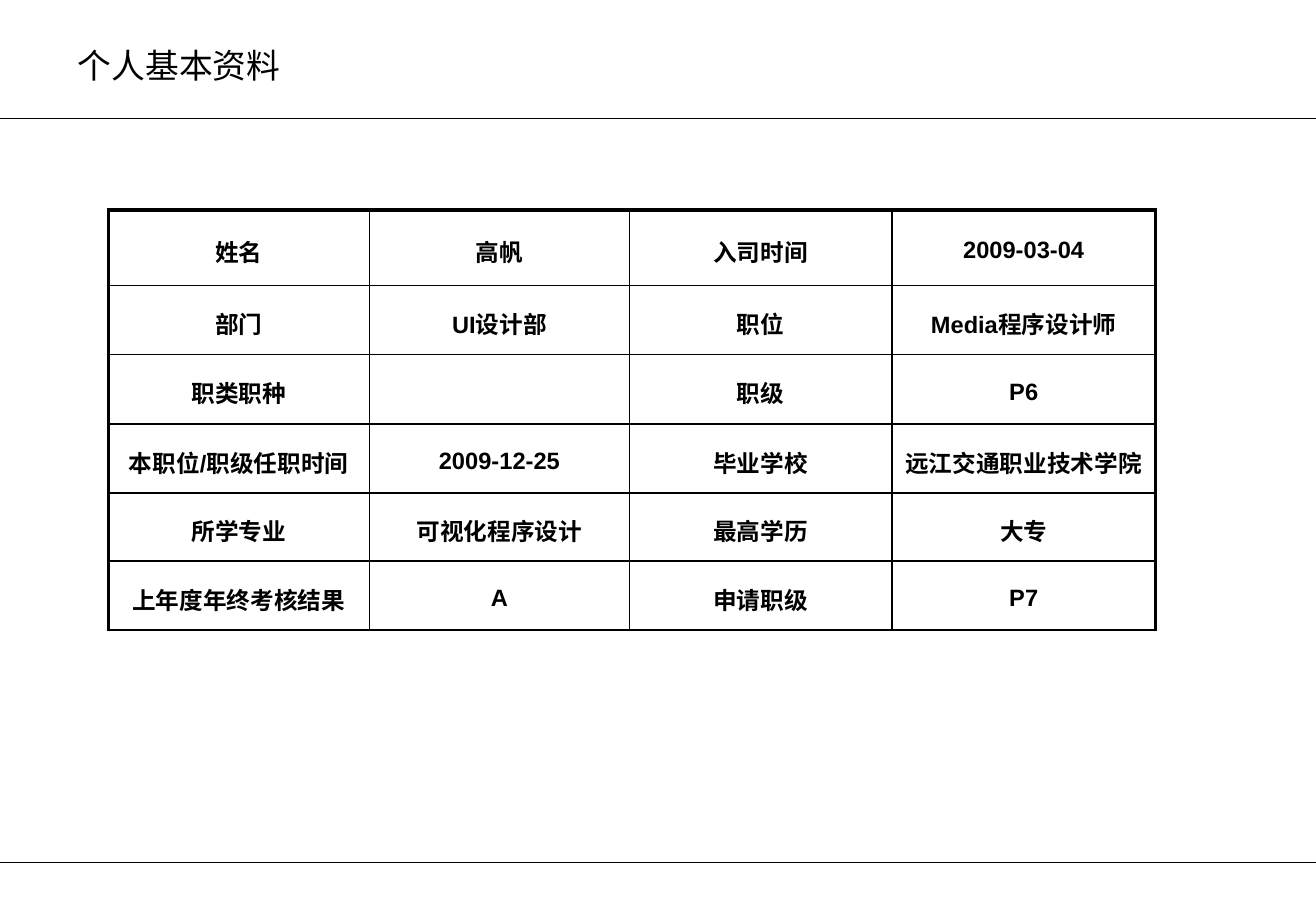
from dataclasses import dataclass

from lxml import etree
from pptx import Presentation
from pptx import util as u
from pptx.dml.color import RGBColor
from pptx.enum import shapes, text
from pptx.oxml.ns import qn

PX = 9144  # 100 px to the inch


@dataclass(frozen=True)
class Theme:
    ink: str = "000000"
    latin: str = "Arial"
    asian: str = "Noto Sans CJK SC"
    head: int = 20
    body: int = 14
    hair: float = 0.25
    thin: float = 1
    thick: float = 2.25


THEME = Theme()
WIDE, HIGH = 1083, 750
RULES = [97, 710]
COLS = [215, 214, 216, 217]
ROWS = [62, 57, 57, 57, 56, 57]
FACTS = [
    ["姓名", "高帆", "入司时间", "2009-03-04"],
    ["部门", "UI设计部", "职位", "Media程序设计师"],
    ["职类职种", "", "职级", "P6"],
    ["本职位/职级任职时间", "2009-12-25", "毕业学校", "远江交通职业技术学院"],
    ["所学专业", "可视化程序设计", "最高学历", "大专"],
    ["上年度年终考核结果", "A", "申请职级", "P7"],
]


def px(n):
    return u.Emu(n * PX)


def add_run(para, words, size, face, bold=False):
    run = para.add_run()
    run.text = words
    font = run.font
    font.size, font.name, font.bold = u.Pt(size), face, bold
    font.color.rgb = RGBColor.from_string(THEME.ink)
    # East Asian glyphs need their own face
    asian = etree.Element(qn("a:ea"), typeface=THEME.asian)
    run._r.rPr.find(qn("a:latin")).addnext(asian)


def add_rule(slide, y):
    line = slide.shapes.add_connector(
        shapes.MSO_CONNECTOR.STRAIGHT, 0, px(y), px(WIDE), px(y))
    line.line.color.rgb = RGBColor.from_string(THEME.ink)
    line.line.width = u.Pt(THEME.hair)
    etree.SubElement(line._element.spPr, qn("a:effectLst"))


def set_title(slide, words):
    title = slide.shapes.title
    title.left, title.top, title.width, title.height = map(
        px, (54, 30, 975, 47))
    frame = title.text_frame
    frame.vertical_anchor = text.MSO_ANCHOR.MIDDLE
    para = frame.paragraphs[0]
    para.alignment = text.PP_ALIGN.LEFT
    add_run(para, words, THEME.head, THEME.asian)


def set_edge(cell, tag, width):
    edge = etree.SubElement(cell._tc.get_or_add_tcPr(), qn(tag),
                            w=str(u.Pt(width)))
    fill = etree.SubElement(edge, qn("a:solidFill"))
    etree.SubElement(fill, qn("a:srgbClr"), val=THEME.ink)


def fill_cell(cell, words, row, col):
    # Thick outer edges, except along the bottom
    for tag, outer in (("a:lnL", col == 0), ("a:lnR", col == len(COLS) - 1),
                       ("a:lnT", row == 0), ("a:lnB", False)):
        set_edge(cell, tag, THEME.thick if outer else THEME.thin)
    cell.fill.background()
    cell.vertical_anchor = text.MSO_ANCHOR.MIDDLE
    para = cell.text_frame.paragraphs[0]
    para.alignment = text.PP_ALIGN.CENTER
    para.line_spacing = 1.2
    para.space_before = u.Pt(THEME.body / 10)
    if words:
        add_run(para, words, THEME.body, THEME.latin, True)


def add_facts(slide):
    table = slide.shapes.add_table(
        len(ROWS), len(COLS), px(89), px(173),
        px(sum(COLS)), px(sum(ROWS))).table
    table.first_row = table.horz_banding = False
    for col, wide in zip(table.columns, COLS):
        col.width = px(wide)
    for r, (high, facts) in enumerate(zip(ROWS, FACTS)):
        table.rows[r].height = px(high)
        for c, words in enumerate(facts):
            fill_cell(table.cell(r, c), words, r, c)


def main():
    deck = Presentation()
    deck.slide_width, deck.slide_height = px(WIDE), px(HIGH)
    slide = deck.slides.add_slide(deck.slide_layouts[5])
    # Header and footer rules
    for y in RULES:
        add_rule(slide, y)
    # Title and personal data
    set_title(slide, "个人基本资料")
    add_facts(slide)
    deck.save("out.pptx")


if __name__ == "__main__":
    main()
